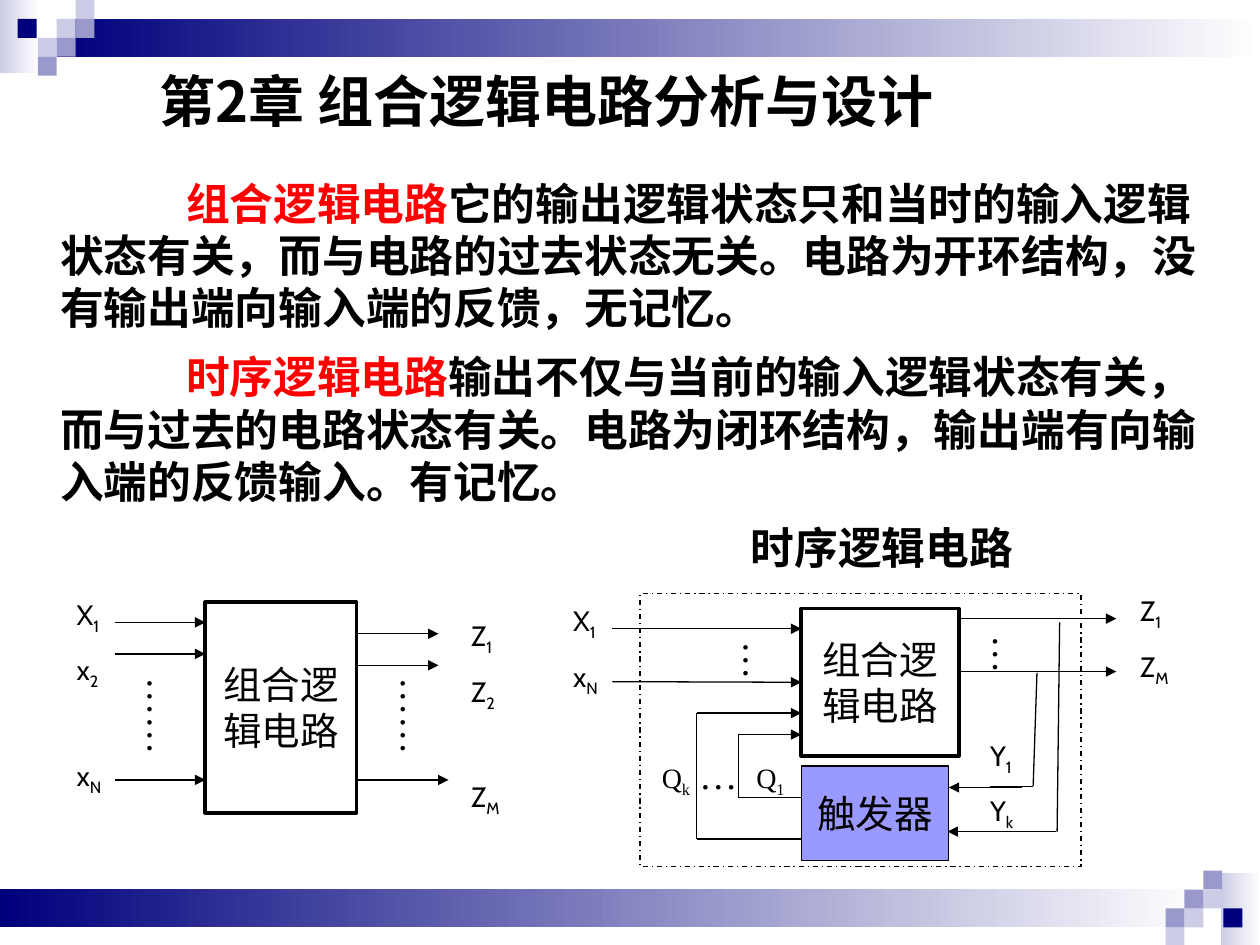
from dataclasses import dataclass
from typing import NamedTuple, Optional

from lxml.etree import SubElement
from pptx import Presentation
from pptx.dml.color import RGBColor
from pptx.enum.dml import MSO_LINE
from pptx.enum.shapes import MSO_CONNECTOR, MSO_SHAPE
from pptx.enum.text import MSO_ANCHOR, PP_ALIGN
from pptx.oxml.ns import qn
from pptx.util import Inches, Pt


@dataclass(frozen=True)
class Theme:
    black: str = "000000"
    red: str = "FF0000"
    white: str = "FFFFFF"
    navy: str = "00007D"
    pale: str = "CCCCE6"
    mid: str = "9999CC"
    violet: str = "9999FF"
    heading: str = "Noto Sans CJK SC"
    label: str = "Cabin"
    serif: str = "Times New Roman"
    title_size: float = 32
    body_size: float = 25
    block_size: float = 22
    label_size: float = 16
    thick: float = 2.25
    thin: float = 0.75


class Box(NamedTuple):
    x: float
    y: float
    w: float
    h: float


class Tile(NamedTuple):
    box: Box
    color: str
    fades: bool = False


class Wire(NamedTuple):
    x1: float
    y1: float
    x2: float
    y2: float
    arrow: bool = True


class Block(NamedTuple):
    box: Box
    lines: tuple = ()
    width: float = 0.75
    fill: Optional[str] = None
    dash: Optional[MSO_LINE] = None


class Labels(NamedTuple):
    box: Box
    items: tuple
    font: str = "Cabin"
    align: Optional[PP_ALIGN] = None
    last_gap: float = 10


class Dots(NamedTuple):
    box: Box
    text: str
    vertical: bool = True


T = Theme()
SIDE = 0.15
TILES = [
    Tile(Box(0, 0, 0.31, 0.58), T.pale, True),
    Tile(Box(0.45, 0.15, 9.55, 0.3), T.navy, True),
    *(Tile(Box(x, y, SIDE, SIDE), color) for x, y, color in [
        (0.45, 0.15, T.pale), (0.6, 0, T.pale), (0.6, 0.15, T.mid), (0.3, 0.3, T.pale),
        (0.14, 0.15, T.navy), (0.45, 0.3, T.mid), (0.3, 0.45, T.mid)]),
]
BODY = [
    ("组合逻辑电路", "它的输出逻辑状态只和当时的输入逻辑状态有关，而与电路的过去状态无关。"
     "电路为开环结构，没有输出端向输入端的反馈，无记忆。"),
    ("时序逻辑电路", "输出不仅与当前的输入逻辑状态有关，而与过去的电路状态有关。"
     "电路为闭环结构，输出端有向输入端的反馈输入。有记忆。"),
]
LOGIC = ("组合逻", "辑电路")
OPEN_LOGIC = Block(Box(1.63, 4.78, 1.2, 1.67), LOGIC, T.thick)
LOOP_LOGIC = Block(Box(6.36, 4.83, 1.25, 1.17), LOGIC, T.thick)
FLIP_FLOP = Block(Box(6.36, 6.08, 1.17, 0.75), ("触发器",), T.thin, T.violet)
FRAME = Block(Box(5.08, 4.71, 3.5, 2.17), dash=MSO_LINE.DASH_DOT)
MIDDLE_INPUT = Wire(4.86, 5.41, 6.36, 5.41)
WIRES = [
    *(Wire(0.91, y, 1.63, y) for y in (4.94, 5.19, 6.19)),
    *(Wire(2.84, y, x, y) for x, y in ((3.48, 5.03), (3.48, 5.28), (3.56, 6.19))),
    Wire(4.86, 4.99, 6.36, 4.99),
    *(Wire(7.61, y, 8.86, y) for y in (4.91, 5.33)),
    Wire(8.11, 6.25, 7.53, 6.25),
    Wire(8.38, 6.6, 7.52, 6.6),
    Wire(8.41, 4.94, 8.39, 6.6, False),
    Wire(8.23, 5.34, 8.2, 6.24, False),
    Wire(7.86, 6.24, 8.2, 6.24, False),
]
for x, top, bottom in ((5.53, 5.66, 6.66), (5.86, 5.83, 6.33)):
    WIRES += [Wire(x, top, 6.36, top), Wire(x, top, x, bottom, False),
              Wire(x, bottom, 6.36, bottom, False)]
LABELS = [
    Labels(Box(0.51, 4.69, 0.8, 1.7), ("X1", "x2", "xN"), last_gap=38.5),
    Labels(Box(3.64, 4.86, 1.04, 1.7), ("Z1", "Z2", "ZM"), last_gap=38.5),
    Labels(Box(8.95, 4.66, 0.58, 0.85), ("Z1", "ZM")),
    Labels(Box(4.45, 4.74, 0.67, 1.29), ("X1", "xN")),
    Labels(Box(7.76, 5.81, 0.75, 0.85), ("Y1", "Yk")),
    Labels(Box(5.7, 5.99, 0.83, 0.41), ("Q1",), T.serif, PP_ALIGN.CENTER),
    Labels(Box(4.95, 5.99, 0.83, 0.41), ("Qk",), T.serif, PP_ALIGN.CENTER),
]
DOTS = [
    Dots(Box(0.97, 5.28, 0.56, 1), "……"),
    Dots(Box(2.98, 5.28, 0.56, 1), "……"),
    Dots(Box(5.7, 4.99, 0.56, 1), "…"),
    Dots(Box(7.68, 4.94, 0.56, 1), "…"),
    Dots(Box(5.45, 5.91, 0.58, 0.47), "…", False),
]


def rgb(color: str) -> RGBColor:
    return RGBColor.from_string(color)


def style(p, font: str, size: float, bold: bool = False, color: Optional[str] = T.black) -> None:
    p.font.name, p.font.size, p.font.bold = font, Pt(size), bold
    if color:
        p.font.color.rgb = rgb(color)


def add_rect(s, box: Box):
    sp = s.shapes.add_shape(MSO_SHAPE.RECTANGLE, *map(Inches, box))
    sp.shadow.inherit = False
    return sp


def add_text(s, box: Box):
    tf = s.shapes.add_textbox(*map(Inches, box)).text_frame
    tf.word_wrap = True
    return tf


def draw_tile(s, tile: Tile, turned: bool) -> None:
    x, y, w, h = tile.box
    sp = add_rect(s, Box(10 - x - w, 7.51 - y - h, w, h) if turned else tile.box)
    sp.line.fill.background()
    if tile.fades:
        sp.fill.gradient()
        sp.fill.gradient_angle = 0
        for stop, color in zip(sp.fill.gradient_stops, (tile.color, T.white)):
            stop.color.rgb = rgb(color)
    else:
        sp.fill.solid()
        sp.fill.fore_color.rgb = rgb(tile.color)


def draw_block(s, block: Block):
    sp = add_rect(s, block.box)
    sp.line.color.rgb = rgb(T.black)
    sp.line.width = Pt(block.width)
    if block.dash:
        sp.line.dash_style = block.dash
    if block.fill:
        sp.fill.solid()
        sp.fill.fore_color.rgb = rgb(block.fill)
    else:
        sp.fill.background()
    tf = sp.text_frame
    tf.word_wrap = False
    tf.vertical_anchor = MSO_ANCHOR.MIDDLE
    for i, line in enumerate(block.lines):
        p = tf.add_paragraph() if i else tf.paragraphs[0]
        p.text, p.alignment = line, PP_ALIGN.CENTER
        style(p, T.label, T.block_size)
    return sp


def draw_wire(s, wire: Wire):
    cx = s.shapes.add_connector(MSO_CONNECTOR.STRAIGHT, *map(Inches, wire[:4]))
    cx.line.color.rgb = rgb(T.black)
    cx.line.width = Pt(T.thin)
    if wire.arrow:
        SubElement(cx.line._get_or_add_ln(), qn("a:tailEnd"), type="triangle")
    SubElement(cx._element.spPr, qn("a:effectLst"))
    return cx


def draw_labels(s, labels: Labels) -> None:
    tf = add_text(s, labels.box)
    for i, (name, index) in enumerate(labels.items):
        p = tf.add_paragraph() if i else tf.paragraphs[0]
        p.alignment = labels.align
        if i:
            p.space_before = Pt(labels.last_gap if i == len(labels.items) - 1 else 10)
        style(p, labels.font, T.label_size)
        p.add_run().text = name
        r = p.add_run()
        r.text = index
        r.font._element.set("baseline", "-25000")


def draw_dots(s, dots: Dots) -> None:
    tf = add_text(s, dots.box)
    if dots.vertical:
        tf._txBody.bodyPr.set("vert", "eaVert")
        tf.margin_left = tf.margin_right = Inches(0.05)
        tf.margin_top = tf.margin_bottom = Inches(0.1)
    p = tf.paragraphs[0]
    p.text = dots.text
    style(p, T.serif, T.block_size)


def draw_heading(s, box: Box, text: str, font: str, size: float) -> None:
    tf = add_text(s, box)
    tf.vertical_anchor = MSO_ANCHOR.MIDDLE
    p = tf.paragraphs[0]
    p.text = text
    style(p, font, size, True)


def draw_body(s) -> None:
    tf = add_text(s, Box(0.27, 1.35, 9.53, 2.73))
    for i, (term, text) in enumerate(BODY):
        p = tf.add_paragraph() if i else tf.paragraphs[0]
        pPr = p._p.get_or_add_pPr()
        pPr.set("marL", str(Inches(0.11)))
        pPr.set("indent", str(Inches(1)))
        if i:
            p.space_before = Pt(9.4)
        style(p, T.heading, T.body_size, True, None)
        for part, color in ((term, T.red), (text, T.black)):
            r = p.add_run()
            r.text = part
            r.font.color.rgb = rgb(color)


def main() -> None:
    prs = Presentation()
    prs.slide_width, prs.slide_height = Inches(10), Inches(7.5)
    s = prs.slides.add_slide(prs.slide_layouts[6])
    for turned in (False, True):
        for tile in TILES:
            draw_tile(s, tile, turned)
    draw_body(s)
    draw_block(s, OPEN_LOGIC)
    loop = draw_block(s, LOOP_LOGIC)
    for wire in WIRES:
        draw_wire(s, wire)
    draw_wire(s, MIDDLE_INPUT).end_connect(loop, 1)
    for block in (FLIP_FLOP, FRAME):
        draw_block(s, block)
    for labels in LABELS:
        draw_labels(s, labels)
    for dots in DOTS:
        draw_dots(s, dots)
    draw_heading(s, Box(5.86, 4.08, 2.33, 0.52), "时序逻辑电路", T.label, T.body_size)
    draw_heading(s, Box(1.17, 0.17, 8.55, 1.25), "第2章 组合逻辑电路分析与设计", T.heading, T.title_size)
    prs.save("out.pptx")


if __name__ == "__main__":
    main()
